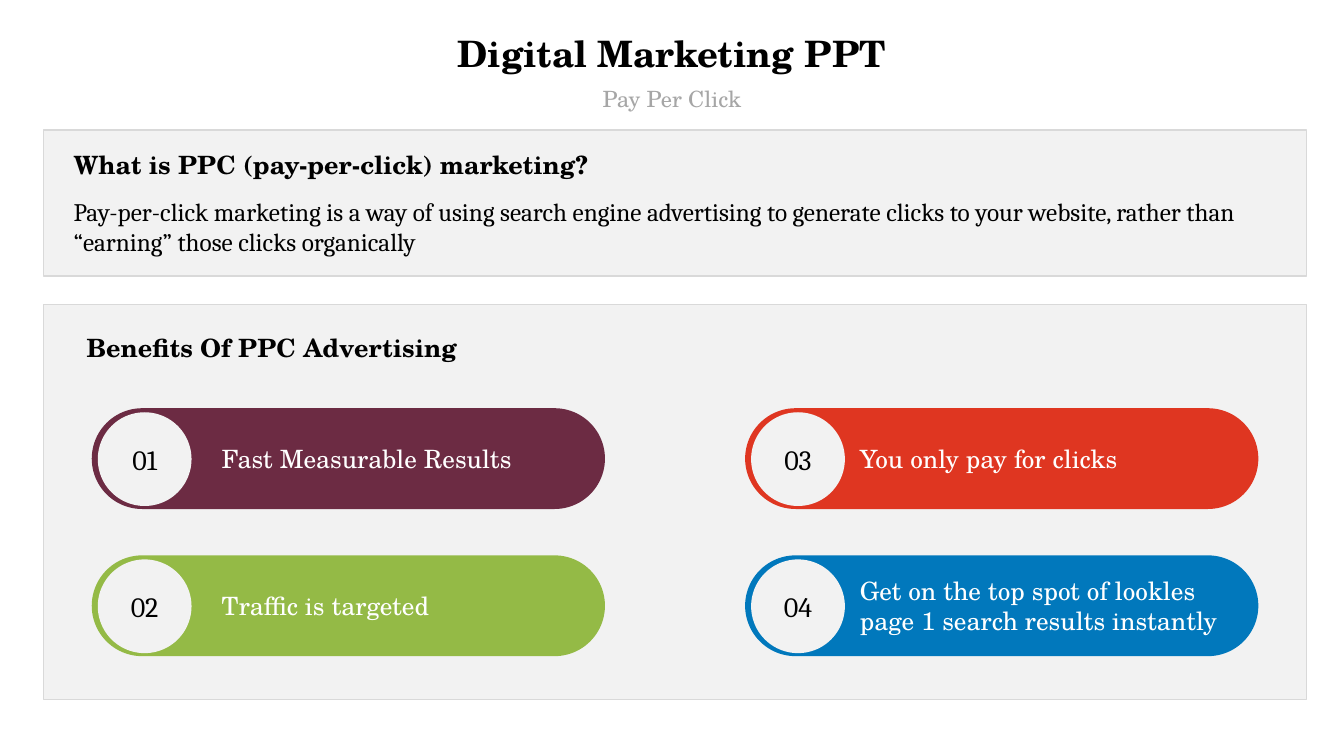
from pptx import Presentation
from pptx.dml.color import RGBColor
from pptx.enum.shapes import MSO_SHAPE as Shape
from pptx.enum.text import MSO_ANCHOR as Anchor, PP_ALIGN as Align
from pptx.util import Inches, Pt

BLACK = RGBColor(0x00, 0x00, 0x00)
WHITE = RGBColor(0xFF, 0xFF, 0xFF)
GREY = RGBColor(0xA6, 0xA6, 0xA6)
PANEL = RGBColor(0xF2, 0xF2, 0xF2)
BORDER = RGBColor(0xD9, 0xD9, 0xD9)
PLUM = RGBColor(0x6C, 0x2B, 0x43)
GREEN = RGBColor(0x94, 0xBA, 0x46)
RED = RGBColor(0xDF, 0x36, 0x21)
BLUE = RGBColor(0x01, 0x78, 0xBC)

DISPLAY = "TeX Gyre Schola"
BODY = "Cambria"

BENEFITS = [
    [("Fast Measurable Results", PLUM), ("Traffic is targeted", GREEN)],
    [("You only pay for clicks", RED),
     ("Get on the top spot of lookles page 1 search results instantly", BLUE)],
]
LABEL_INDENTS = [1.19, 1.04]


def write(paragraph, text, size=18, font=DISPLAY, color=BLACK, bold=False,
          align=Align.LEFT, before=0):
    paragraph.alignment = align
    paragraph.space_before = Pt(before)
    run = paragraph.add_run()
    run.text = text
    run.font.size = Pt(size)
    run.font.name = font
    run.font.bold = bold
    run.font.color.rgb = color


def add_label(slide, left, top, width, height, text, **style):
    label = slide.shapes.add_textbox(
        Inches(left), Inches(top), Inches(width), Inches(height))
    label.text_frame.word_wrap = True
    label.text_frame.vertical_anchor = Anchor.MIDDLE
    write(label.text_frame.paragraphs[0], text, **style)


def add_block(slide, kind, left, top, width, height, fill, border=None):
    block = slide.shapes.add_shape(
        kind, Inches(left), Inches(top), Inches(width), Inches(height))
    block.shadow.inherit = False
    block.fill.solid()
    block.fill.fore_color.rgb = fill
    if border is None:
        block.line.fill.background()
    else:
        block.line.color.rgb = border
        block.line.width = Pt(1)
    block.text_frame.word_wrap = True
    block.text_frame.vertical_anchor = Anchor.MIDDLE
    return block


def add_header(slide, left, top, width):
    add_label(slide, left, top, width, 0.54, "Digital Marketing PPT",
              size=26, bold=True, align=Align.CENTER)
    add_label(slide, left, top + 0.53, width, 0.37, "Pay Per Click",
              size=16, color=GREY, align=Align.CENTER)


def add_definition(slide, left, top, width, height):
    panel = add_block(slide, Shape.RECTANGLE, left, top, width, height,
                      PANEL, BORDER)
    frame = panel.text_frame
    frame.margin_left = frame.margin_right = Inches(0.3)
    write(frame.paragraphs[0], "What is PPC (pay-per-click) marketing?",
          bold=True, before=12)
    write(frame.add_paragraph(),
          "Pay-per-click marketing is a way of using search engine advertising "
          "to generate clicks to your website, rather than “earning” those "
          "clicks organically", font=BODY, before=12)


def add_benefit(slide, left, top, number, text, color, indent):
    pill = add_block(slide, Shape.ROUNDED_RECTANGLE, left, top, 5.09, 1, color)
    pill.adjustments[0] = 0.5
    badge = add_block(slide, Shape.OVAL, left + 0.06, top + 0.04,
                      0.93, 0.93, PANEL)
    write(badge.text_frame.paragraphs[0], f"{number:02}", size=20, font=BODY,
          align=Align.CENTER)
    add_label(slide, left + indent, top, 3.76, 1, text, color=WHITE)


def add_benefits(slide, left, top, width, height):
    add_block(slide, Shape.RECTANGLE, left, top, width, height, PANEL, BORDER)
    add_label(slide, left + 0.33, top + 0.23, 7.35, 0.4,
              "Benefits Of PPC Advertising", bold=True)
    number = 0
    for column, benefits in enumerate(BENEFITS):
        for row, (text, color) in enumerate(benefits):
            number += 1
            add_benefit(slide, left + 0.48 + 6.48 * column,
                        top + 1.03 + 1.46 * row, number, text, color,
                        LABEL_INDENTS[column])


def main():
    deck = Presentation()
    deck.slide_width = Inches(13.33)
    deck.slide_height = Inches(7.5)
    slide = deck.slides.add_slide(deck.slide_layouts[6])
    add_definition(slide, 0.43, 1.29, 12.53, 1.45)
    add_benefits(slide, 0.43, 3.02, 12.53, 3.92)
    add_header(slide, 0, 0.26, 13.33)
    deck.save("out.pptx")


if __name__ == "__main__":
    main()
